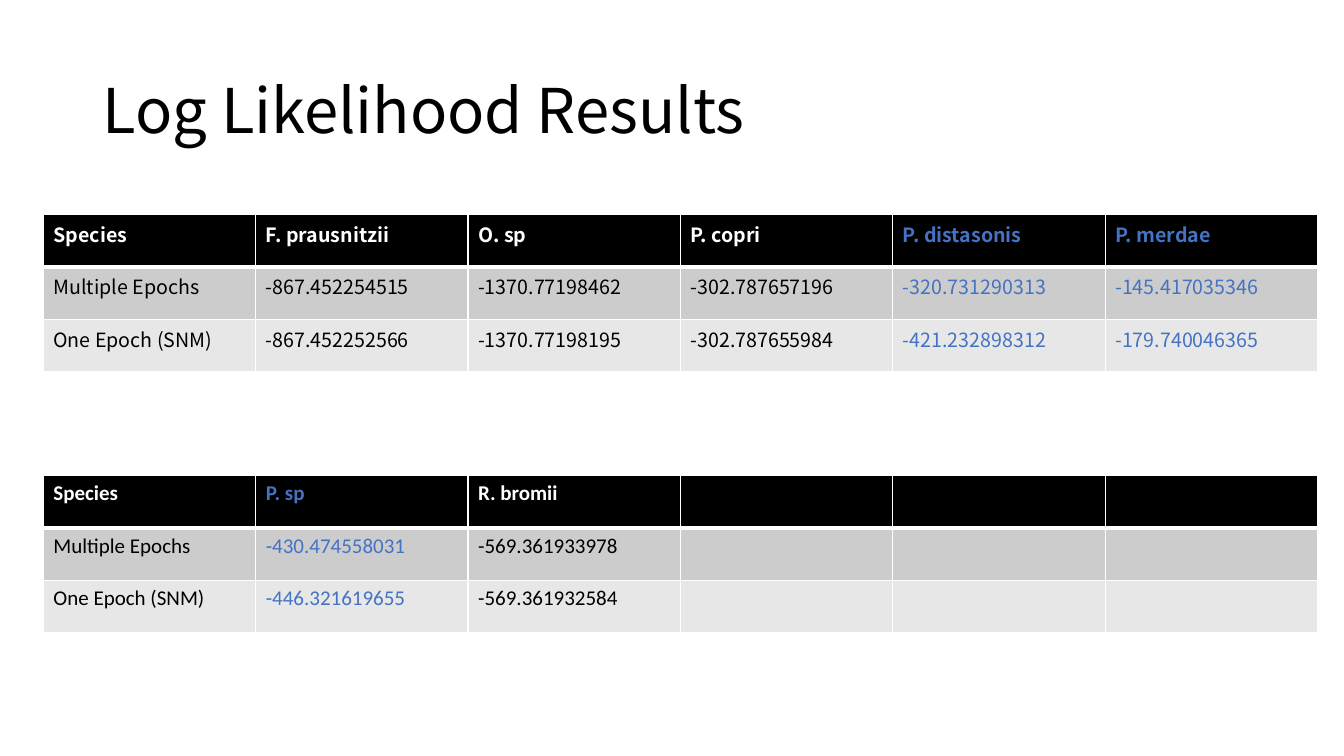
from lxml import etree
from pptx import Presentation
from pptx import util as u
from pptx.dml.color import RGBColor
from pptx.enum import text
from pptx.oxml.ns import qn

BLACK = RGBColor(0x00, 0x00, 0x00)
WHITE = RGBColor(0xFF, 0xFF, 0xFF)
BLUE = RGBColor(0x44, 0x72, 0xC4)
ROW_FILLS = (BLACK, RGBColor(0xCC, 0xCC, 0xCC), RGBColor(0xE7, 0xE7, 0xE7))

WIDTH, HEIGHT = 13.33, 7.5
COLUMNS = 6
COLUMN_WIDTH, ROW_HEIGHT = 12.64 / COLUMNS, 0.52
TABLE_LEFT = 0.43
SANS, BODY = "Noto Sans CJK JP", "Calibri"

LABELS = ("Species", "Multiple Epochs", "One Epoch (SNM)")
FIRST_SPECIES = [
    LABELS,
    ("F. prausnitzii", "-867.452254515", "-867.452252566"),
    ("O. sp", "-1370.77198462", "-1370.77198195"),
    ("P. copri", "-302.787657196", "-302.787655984"),
    ("P. distasonis", "-320.731290313", "-421.232898312"),
    ("P. merdae", "-145.417035346", "-179.740046365"),
]
SECOND_SPECIES = [
    LABELS,
    ("P. sp", "-430.474558031", "-446.321619655"),
    ("R. bromii", "-569.361933978", "-569.361932584"),
]
HIGHLIGHTED = {"P. distasonis", "P. merdae", "P. sp"}


def write(frame, words, font, size, color, bold=False, spacing=None):
    para = frame.paragraphs[0]
    para.alignment = text.PP_ALIGN.LEFT
    if spacing:
        para.line_spacing = spacing
    span = para.add_run()
    span.text = words
    span.font.name = font
    span.font.size = u.Pt(size)
    span.font.bold = bold
    span.font.color.rgb = color


def set_borders(cell, **widths):
    properties = cell._tc.get_or_add_tcPr()
    for index, side in enumerate("LRTB"):
        line = etree.Element(qn("a:ln" + side), w=str(u.Pt(widths.get(side, 1))))
        fill = etree.SubElement(line, qn("a:solidFill"))
        etree.SubElement(fill, qn("a:srgbClr"), val=str(WHITE))
        properties.insert(index, line)


def add_title(page, words, left, top, width, height):
    box = page.shapes.add_textbox(*map(u.Inches, (left, top, width, height)))
    box.text_frame.word_wrap = True
    box.text_frame.vertical_anchor = text.MSO_ANCHOR.MIDDLE
    write(box.text_frame, words, SANS, 44, BLACK, spacing=0.9)


def add_results(page, species, left, top, font, size):
    rows = len(LABELS)
    bounds = (left, top, COLUMNS * COLUMN_WIDTH, rows * ROW_HEIGHT)
    table = page.shapes.add_table(rows, COLUMNS, *map(u.Inches, bounds)).table
    for column in table.columns:
        column.width = u.Inches(COLUMN_WIDTH)
    for index, row in enumerate(table.rows):
        row.height = u.Inches(ROW_HEIGHT)
        header = index == 0
        for cell in row.cells:
            cell.fill.solid()
            cell.fill.fore_color.rgb = ROW_FILLS[index]
            set_borders(cell, B=3 if header else 1, T=3 if index == 1 else 1)
        for cell, entries in zip(row.cells, species):
            plain = WHITE if header else BLACK
            color = BLUE if entries[0] in HIGHLIGHTED else plain
            write(cell.text_frame, entries[index], font, size, color, bold=header)


def main():
    deck = Presentation()
    deck.slide_width, deck.slide_height = u.Inches(WIDTH), u.Inches(HEIGHT)
    page = deck.slides.add_slide(deck.slide_layouts[6])
    add_title(page, "Log Likelihood Results", 0.92, 0.4, 11.5, 1.45)
    add_results(page, FIRST_SPECIES, TABLE_LEFT, 2.13, SANS, 14)
    add_results(page, SECOND_SPECIES, TABLE_LEFT, 4.72, BODY, 15)
    deck.save("out.pptx")


if __name__ == "__main__":
    main()
